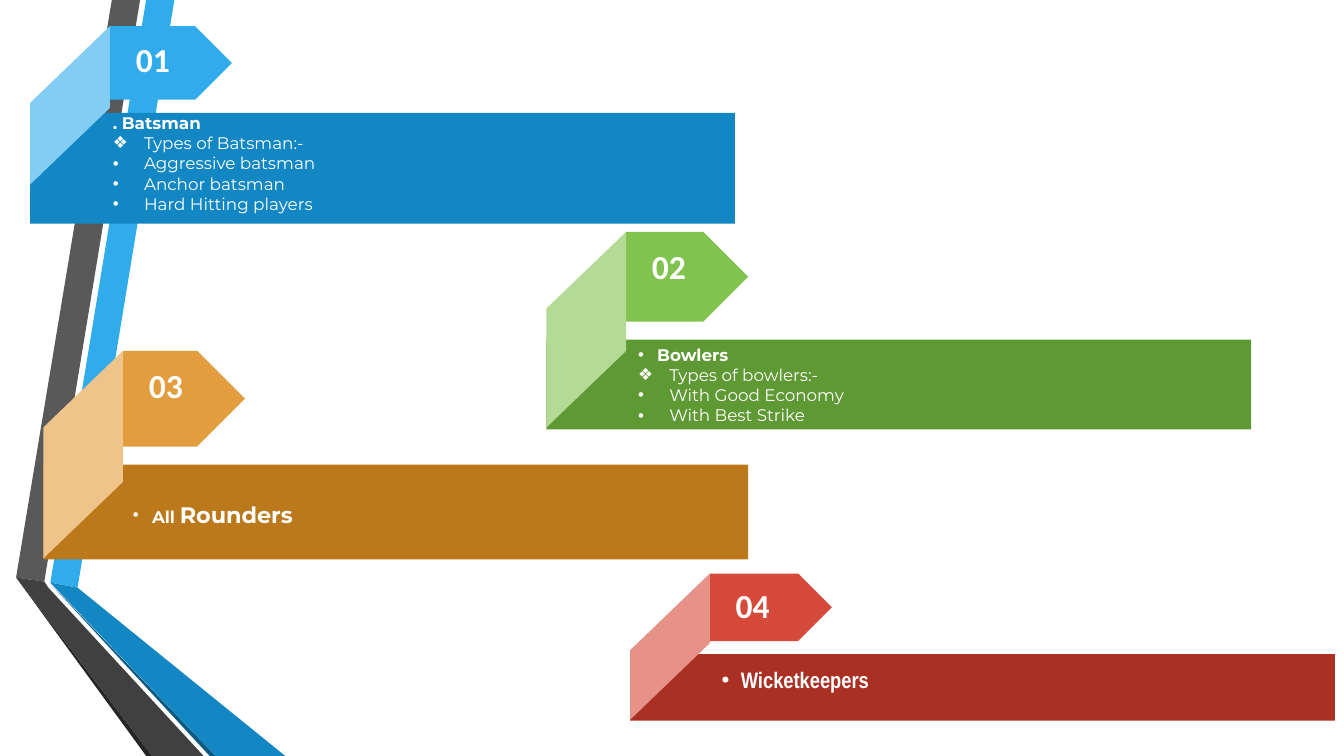
from dataclasses import dataclass

from lxml import etree
from pptx import Presentation
from pptx.dml.color import RGBColor
from pptx.enum.shapes import MSO_SHAPE
from pptx.enum.text import MSO_AUTO_SIZE, PP_ALIGN
from pptx.oxml.ns import qn
from pptx.util import Inches, Pt

RECTANGLE = MSO_SHAPE.RECTANGLE
PENTAGON = MSO_SHAPE.PENTAGON
PARALLELOGRAM = MSO_SHAPE.PARALLELOGRAM
CENTER = PP_ALIGN.CENTER
FIT_SHAPE = MSO_AUTO_SIZE.SHAPE_TO_FIT_TEXT


@dataclass(frozen=True)
class Theme:
    white: str = "FFFFFF"
    # bar, plate, fold
    blue: tuple = ("1287C3", "30ACEC", "83CDF4")
    green: tuple = ("5F9934", "80C34F", "B3DB95")
    orange: tuple = ("BC791C", "E29D3E", "EEC48B")
    red: tuple = ("A93023", "D64A3B", "E69289")
    blue_edge: str = "0C5A82"
    gray: str = "595959"
    gray_dark: str = "404040"
    gray_edge: str = "262626"
    number_font: str = "Calibri"
    body_font: str = "Montserrat"
    narrow_font: str = "Arial Narrow"
    number_size: int = 24
    body_size: int = 12
    large_size: int = 16


theme = Theme()


def paint(shape, color):
    shape.shadow.inherit = False
    shape.fill.solid()
    shape.fill.fore_color.rgb = RGBColor.from_string(color)
    shape.line.fill.background()


def add_run(paragraph, text, font_name, size, bold):
    run = paragraph.add_run()
    run.text = text
    run.font.name = font_name
    run.font.size = Pt(size)
    run.font.bold = bold
    run.font.color.rgb = RGBColor.from_string(theme.white)


presentation = Presentation()
presentation.slide_width = Inches(13.33)
presentation.slide_height = Inches(7.5)
slide = presentation.slides.add_slide(presentation.slide_layouts[6])
shapes = slide.shapes

# Folded ribbons on the left edge
ribbons = [
    (theme.blue[1], [(0.5, 5.78), (0.77, 5.83), (1.73, 0), (1.45, 0)]),
    (theme.gray, [(1.39, 0), (1.11, 0), (0.16, 5.73), (0.44, 5.77)]),
    (theme.gray_edge, [(0.16, 5.73), (1.45, 7.5), (1.51, 7.5)]),
    (theme.blue_edge, [(0.5, 5.79), (2.08, 7.5), (2.14, 7.5)]),
    (theme.blue[0], [(0.5, 5.78), (2.14, 7.5), (2.83, 7.5), (0.77, 5.83)]),
    (theme.gray_dark, [(2.02, 7.5), (0.48, 5.83), (0.44, 5.77), (0.16, 5.73), (1.51, 7.5)]),
]
for color, points in ribbons:
    corners = [(Inches(x), Inches(y)) for x, y in points]
    builder = shapes.build_freeform(*corners[0], scale=1.0)
    builder.add_line_segments(corners[1:], close=True)
    paint(builder.convert_to_shape(), color)

# Each card: colours, left, plate top, plate and bar height, bar top, bar height,
# fold length, text box, heading bullet, heading runs, list lines
body, narrow = theme.body_font, theme.narrow_font
small, large = theme.body_size, theme.large_size
cards = [
    (theme.blue, 0.3, 0.26, 0.73, 1.12, 1.1, 1.57, (1.02, 1.07, 5.72, 1.31),
     None, [(". Batsman", body, small)],
     ["Types of Batsman:-", "Aggressive batsman", "Anchor batsman", "Hard Hitting players"]),
    (theme.green, 5.42, 2.3, 0.89, 3.37, 0.89, 1.94, (6.23, 3.37, 3.47, 0.91),
     "•", [("Bowlers", body, small)],
     ["Types of bowlers:-", "With Good Economy", "With Best Strike"]),
    (theme.orange, 0.43, 3.48, 0.95, 4.61, 0.94, 2.06, (1.22, 4.92, 5.97, 0.37),
     "•", [("All ", body, small), ("Rounders", body, large)], []),
    (theme.red, 6.25, 5.69, 0.67, 6.49, 0.66, 1.45, (7.06, 6.56, 5.77, 0.37),
     "•", [("Wicketkeepers", narrow, large)], []),
]
BAR_WIDTH, PLATE_WIDTH, FOLD_WIDTH, NUMBER_WIDTH = 6.99, 1.21, 0.79, 0.85
HEADING_INDENT, LIST_INDENT = 0.19, 0.31

for number, card in enumerate(cards, start=1):
    (colors, left, plate_top, plate_height, bar_top, bar_height,
     fold_length, text_area, heading_bullet, heading, lines) = card
    plate_left = left + FOLD_WIDTH

    bar = shapes.add_shape(RECTANGLE, Inches(left), Inches(bar_top),
                           Inches(BAR_WIDTH), Inches(bar_height))
    plate = shapes.add_shape(PENTAGON, Inches(plate_left), Inches(plate_top),
                             Inches(PLATE_WIDTH), Inches(plate_height))
    # The fold is turned upright about its centre
    overhang = (fold_length - FOLD_WIDTH) / 2
    fold = shapes.add_shape(PARALLELOGRAM, Inches(left - overhang), Inches(plate_top + overhang),
                            Inches(fold_length), Inches(FOLD_WIDTH))
    fold.adjustments[0] = 0.962
    fold.rotation = 90
    fold._element.spPr.find(qn("a:xfrm")).set("flipH", "1")
    for shape, color in zip((bar, plate, fold), colors):
        paint(shape, color)

    number_box = shapes.add_textbox(Inches(plate_left), Inches(plate_top + 0.1 * plate_height),
                                    Inches(NUMBER_WIDTH), Inches(0.78 * plate_height))
    text_box = shapes.add_textbox(*(Inches(length) for length in text_area))
    for box in (number_box, text_box):
        box.text_frame.word_wrap = True
        box.text_frame.auto_size = FIT_SHAPE

    paragraph = number_box.text_frame.paragraphs[0]
    paragraph.alignment = CENTER
    add_run(paragraph, f"{number:02d}", theme.number_font, theme.number_size, True)

    rows = [(heading_bullet, HEADING_INDENT, heading, True)]
    for index, line in enumerate(lines):
        rows.append(("•" if index else "❖", LIST_INDENT, [(line, body, small)], False))
    for index, (bullet, indent, runs, bold) in enumerate(rows):
        frame = text_box.text_frame
        paragraph = frame.add_paragraph() if index else frame.paragraphs[0]
        if bullet:
            properties = paragraph._p.get_or_add_pPr()
            properties.set("marL", str(Inches(indent)))
            properties.set("indent", str(-Inches(indent)))
            etree.SubElement(properties, qn("a:buFont")).set("typeface", "Arial")
            etree.SubElement(properties, qn("a:buChar")).set("char", bullet)
        for text, font_name, size in runs:
            add_run(paragraph, text, font_name, size, bold)

presentation.save("out.pptx")
